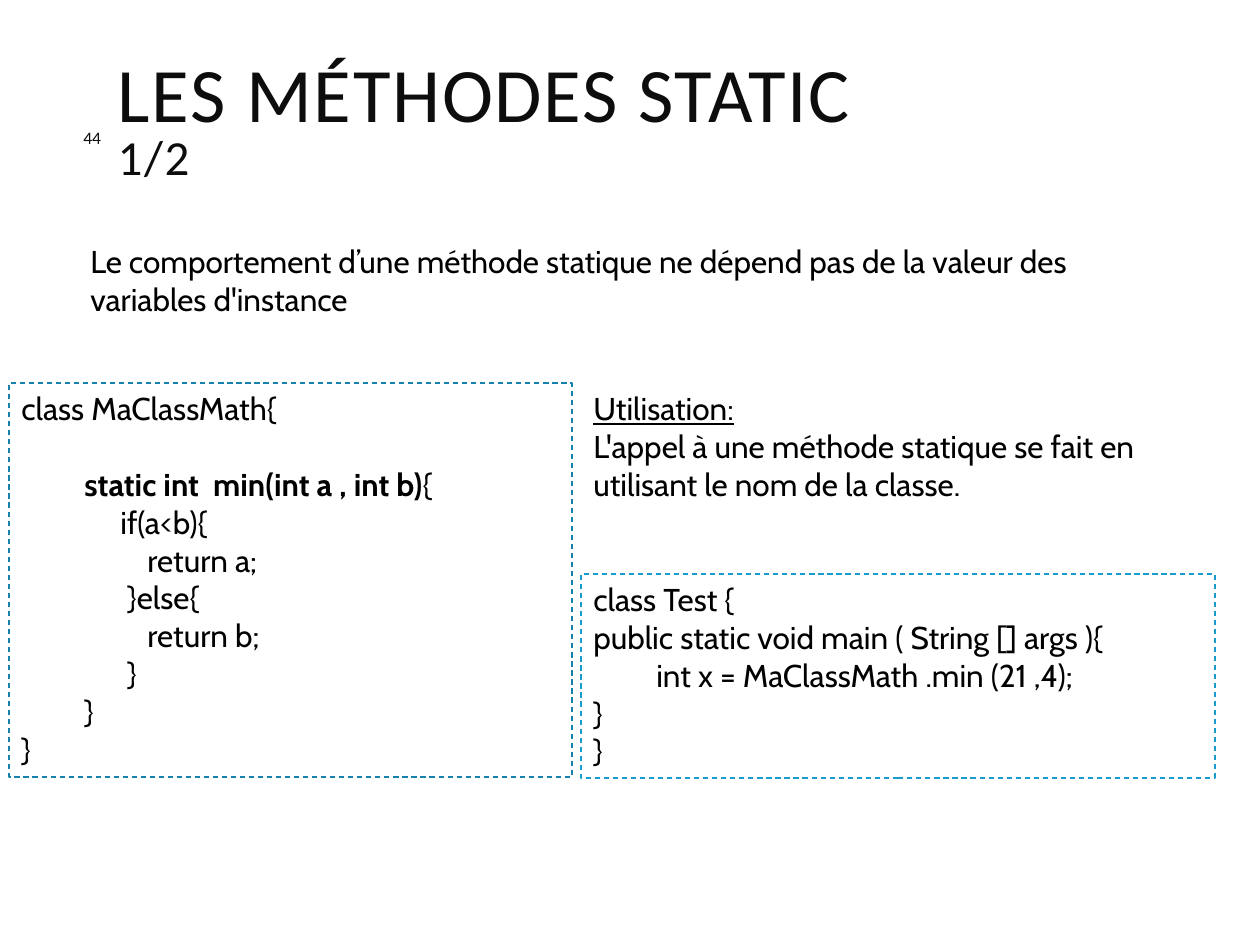
from pptx import Presentation
from pptx.dml.color import RGBColor
from pptx.enum.dml import MSO_LINE
from pptx.enum.shapes import MSO_SHAPE
from pptx.enum.text import MSO_ANCHOR, MSO_AUTO_SIZE, PP_ALIGN
from pptx.util import Emu, Pt

SCALE = 914400 // 126
COLORS = {"heading": "0D0D0D", "body": "000000", "math": "1482AC", "test": "189CCE"}
TITLE = [("LES MÉTHODES STATIC", 44), ("1/2", 28)]
TITLE_BOX = (105, 45, 814, 158)
NUMBER, NUMBER_BOX = "44", (71, 118, 73, 40)
TAB, LINE_GAP = 63, 21.7

INTRO = [(0, 0, [("Le comportement d’une méthode statique ne dépend pas de la valeur "
                  "des variables d'instance", "")])]
MATH_CLASS = [
    (0, 0, [("class MaClassMath{", "")]),
    (TAB, LINE_GAP, [("static int  min(int a , int b)", "bold"), ("{", "")]),
    (99, 0, [("if(a<b){", "")]),
    (2 * TAB, 0, [("return a;", "")]),
    (106, 0, [("}else{", "")]),
    (2 * TAB, 0, [("return b;", "")]),
    (106, 0, [("}", "")]),
    (TAB, 0, [("}", "")]),
    (0, 0, [("}", "")]),
]
TEST_CLASS = [
    (0, 0, [("class Test {", "")]),
    (0, 0, [("public static void main ( String [] args ){", "")]),
    (TAB, 0, [("int x = MaClassMath .min (21 ,4);", "")]),
    (0, 0, [("}", "")]),
    (0, 0, [("}", "")]),
]
USAGE = [
    (0, 0, [("Utilisation:", "underline")]),
    (0, 0, [("L'appel à une méthode statique se fait en", "")]),
    (0, 0, [("utilisant le nom de la classe.", "")]),
]
BLOCKS = [
    (INTRO, (78, 236, 1074, 89), None),
    (MATH_CLASS, (9, 383, 563, 394), "math"),
    (TEST_CLASS, (581, 574, 634, 204), "test"),
    (USAGE, (581, 383, 630, 127), None),
]


def px(values):
    return [Emu(value * SCALE) for value in values]


def add_run(paragraph, text, size, font, color, style=""):
    run = paragraph.add_run()
    run.text = text
    run.font.size = Pt(size)
    run.font.name = font
    run.font.color.rgb = RGBColor.from_string(COLORS[color])
    if style:
        setattr(run.font, style, True)
    return run


def add_block(slide, lines, box, border):
    if border:
        block = slide.shapes.add_shape(MSO_SHAPE.RECTANGLE, *px(box))
        block.shadow.inherit = False
        block.fill.background()
        block.line.color.rgb = RGBColor.from_string(COLORS[border])
        block.line.width = Pt(0.75)
        block.line.dash_style = MSO_LINE.DASH
    else:
        block = slide.shapes.add_textbox(*px(box))
    frame = block.text_frame
    frame.word_wrap = True
    frame.vertical_anchor = MSO_ANCHOR.TOP
    for index, (indent, gap, runs) in enumerate(lines):
        paragraph = frame.add_paragraph() if index else frame.paragraphs[0]
        paragraph.alignment = PP_ALIGN.LEFT
        paragraph.space_before = Pt(gap)
        properties = paragraph._p.get_or_add_pPr()
        properties.set("marL", str(indent * SCALE))
        properties.set("indent", "0")
        for text, style in runs:
            add_run(paragraph, text, 18, "Cabin", "body", style)


def main():
    """Build the slide on static methods."""
    deck = Presentation()
    deck.slide_width, deck.slide_height = px((1260, 945))
    slide = deck.slides.add_slide(deck.slide_layouts[5])

    title = slide.shapes.title
    title.left, title.top, title.width, title.height = px(TITLE_BOX)
    title.text_frame.auto_size = MSO_AUTO_SIZE.NONE
    title.text_frame.vertical_anchor = MSO_ANCHOR.MIDDLE
    heading = title.text_frame.paragraphs[0]
    heading.alignment = PP_ALIGN.LEFT
    heading.line_spacing = 0.8
    for index, (text, size) in enumerate(TITLE):
        if index:
            heading.add_line_break()
        run = add_run(heading, text, size, "Calibri", "heading")
        run._r.get_or_add_rPr().set("spc", "100")

    number = slide.shapes.add_textbox(*px(NUMBER_BOX)).text_frame
    number.word_wrap = True
    number.vertical_anchor = MSO_ANCHOR.MIDDLE
    add_run(number.paragraphs[0], NUMBER, 10, "Calibri", "heading")

    for block in BLOCKS:
        add_block(slide, *block)
    deck.save("out.pptx")


main()
